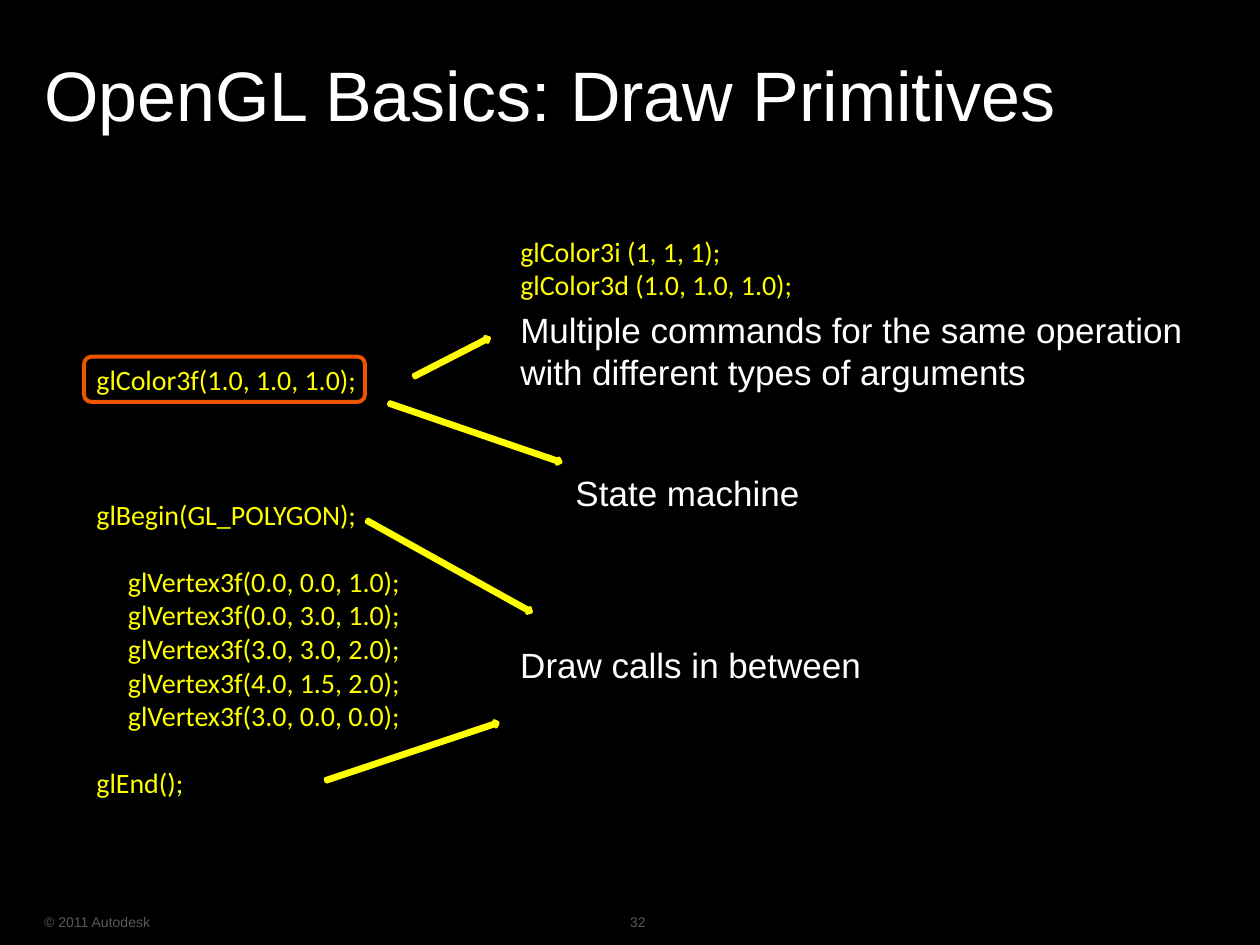
from pptx import Presentation
from pptx.dml.color import RGBColor
from pptx.enum.shapes import MSO_SHAPE as Shape
from pptx.enum.text import MSO_ANCHOR as Anchor
from pptx.util import Pt

COLORS = {
    "background": "000000",
    "text": "FFFFFF",
    "code": "FFFF00",
    "highlight": "EE5500",
    "footer": "595959",
}
STYLES = {
    "title": ("Arial", 40, "text"),
    "note": ("Arial", 20, "text"),
    "code": ("Calibri", 16, "code"),
    "footer": ("Arial", 8, "footer"),
}
CODE_LINE = 19.2

DRAWING_CODE = [
    "glColor3f(1.0, 1.0, 1.0);",
    "glBegin(GL_POLYGON);",
    "     glVertex3f(0.0, 0.0, 1.0);",
    "     glVertex3f(0.0, 3.0, 1.0);",
    "     glVertex3f(3.0, 3.0, 2.0);",
    "     glVertex3f(4.0, 1.5, 2.0);",
    "     glVertex3f(3.0, 0.0, 0.0);",
    "glEnd();",
]
LINES_SKIPPED_BEFORE = {1: 3, 2: 1, 7: 1}
COLOR_VARIANTS = ["glColor3i (1, 1, 1);", "glColor3d (1.0, 1.0, 1.0);"]

FRAMED_TEXTS = [
    ("footer", ["© 2011 Autodesk"], (25.2, 517.7, 174, 18)),
    ("footer", ["32"], (360, 517.7, 24, 18)),
    ("title", ["OpenGL Basics: Draw Primitives"], (25.2, 10.8, 646.6, 90)),
]
BODY_TEXTS = [
    ("note", ["Multiple commands for the same operation with different types of arguments"],
     (290.2, 172.8, 408, 55.4)),
    ("code", COLOR_VARIANTS, (290.2, 130.3, 234, 46)),
    ("note", ["Draw calls in between"], (290.2, 364.3, 252, 31.7)),
    ("note", ["State machine"], (321.8, 265.7, 252, 31.7)),
]
CODE_BOX = (48, 203.8, 293.8, 259.2)
HIGHLIGHT_BOX = (48, 203.8, 160.6, 25.9)
ARROW_THICKNESS = 3.6
ARROWS = [
    (234, 202.3, 48.2, 332.9),
    (203, 321.8, 107.3, 29.1),
    (183.6, 427.7, 103.7, 341.5),
    (219.6, 245.5, 103.7, 18.9),
]


def color(name):
    return RGBColor.from_string(COLORS[name])


def points(box):
    return [Pt(length) for length in box]


def add_text(slide, style, lines, box, framed=False):
    font_name, size, color_name = STYLES[style]
    text_frame = slide.shapes.add_textbox(*points(box)).text_frame
    text_frame.word_wrap = True
    if framed:
        text_frame.margin_left = text_frame.margin_right = 0
        text_frame.margin_top = text_frame.margin_bottom = 0
        text_frame.vertical_anchor = Anchor.MIDDLE
    text_frame.text = "\n".join(lines)
    for paragraph in text_frame.paragraphs:
        if style == "title":
            paragraph.line_spacing = 0.95
        for run in paragraph.runs:
            run.font.name = font_name
            run.font.size = Pt(size)
            run.font.color.rgb = color(color_name)
    return text_frame


def add_outlined(slide, kind, box, line_color, line_width):
    shape = slide.shapes.add_shape(kind, *points(box))
    shape.shadow.inherit = False
    shape.line.color.rgb = color(line_color)
    shape.line.width = Pt(line_width)
    return shape


def main():
    presentation = Presentation()
    presentation.slide_width, presentation.slide_height = Pt(720), Pt(540)
    slide = presentation.slides.add_slide(presentation.slide_layouts[6])
    slide.background.fill.solid()
    slide.background.fill.fore_color.rgb = color("background")

    for style, lines, box in FRAMED_TEXTS:
        add_text(slide, style, lines, box, framed=True)

    code_frame = add_text(slide, "code", DRAWING_CODE, CODE_BOX)
    for index, skipped in LINES_SKIPPED_BEFORE.items():
        code_frame.paragraphs[index].space_before = Pt(skipped * CODE_LINE)

    for style, lines, box in BODY_TEXTS:
        add_text(slide, style, lines, box)

    for left, top, length, rotation in ARROWS:
        arrow = add_outlined(slide, Shape.RIGHT_ARROW,
                             (left, top, length, ARROW_THICKNESS), "code", 2)
        arrow.fill.solid()
        arrow.fill.fore_color.rgb = color("code")
        arrow.rotation = rotation

    highlight = add_outlined(slide, Shape.ROUNDED_RECTANGLE, HIGHLIGHT_BOX, "highlight", 2.25)
    highlight.fill.background()

    presentation.save("out.pptx")


if __name__ == "__main__":
    main()
